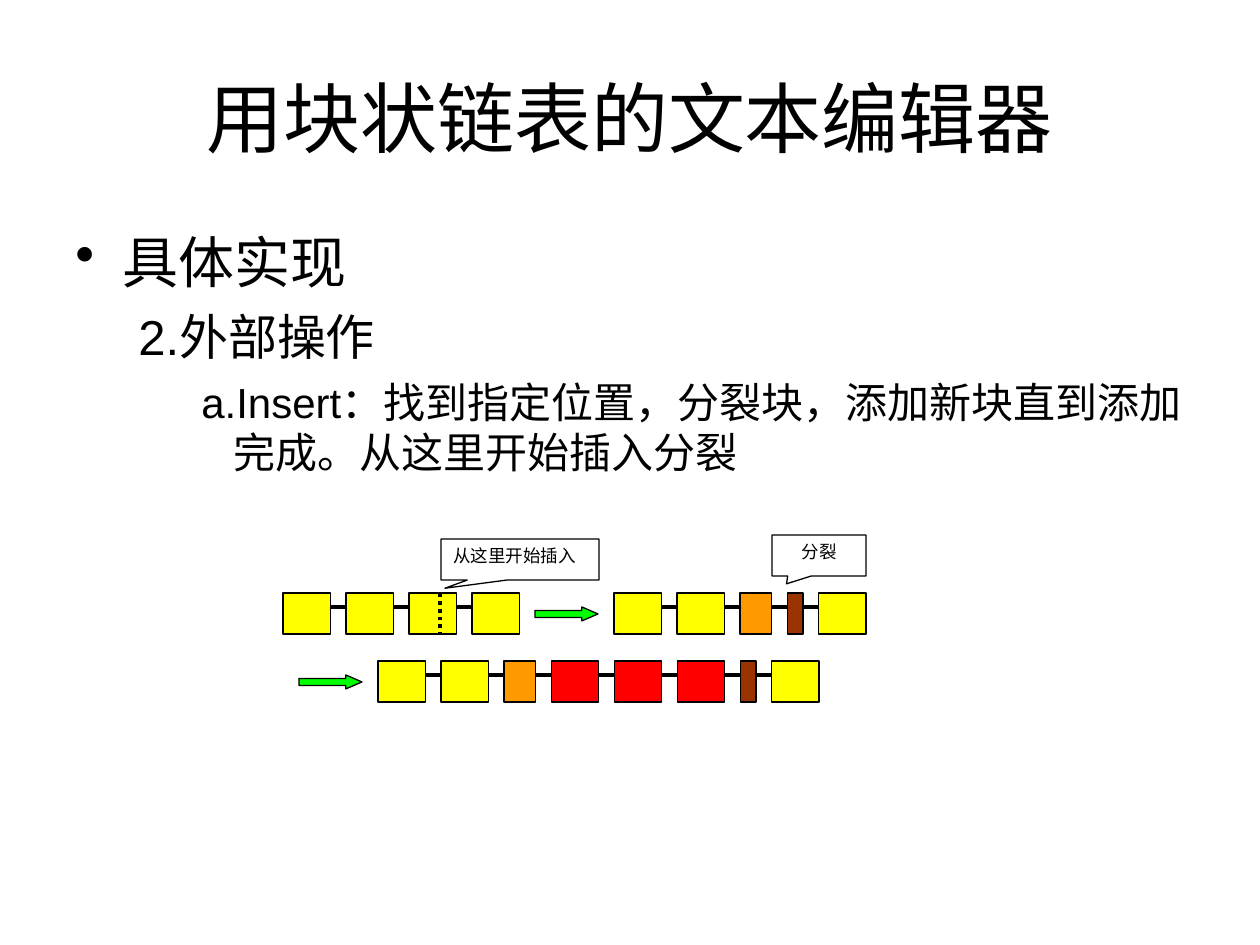
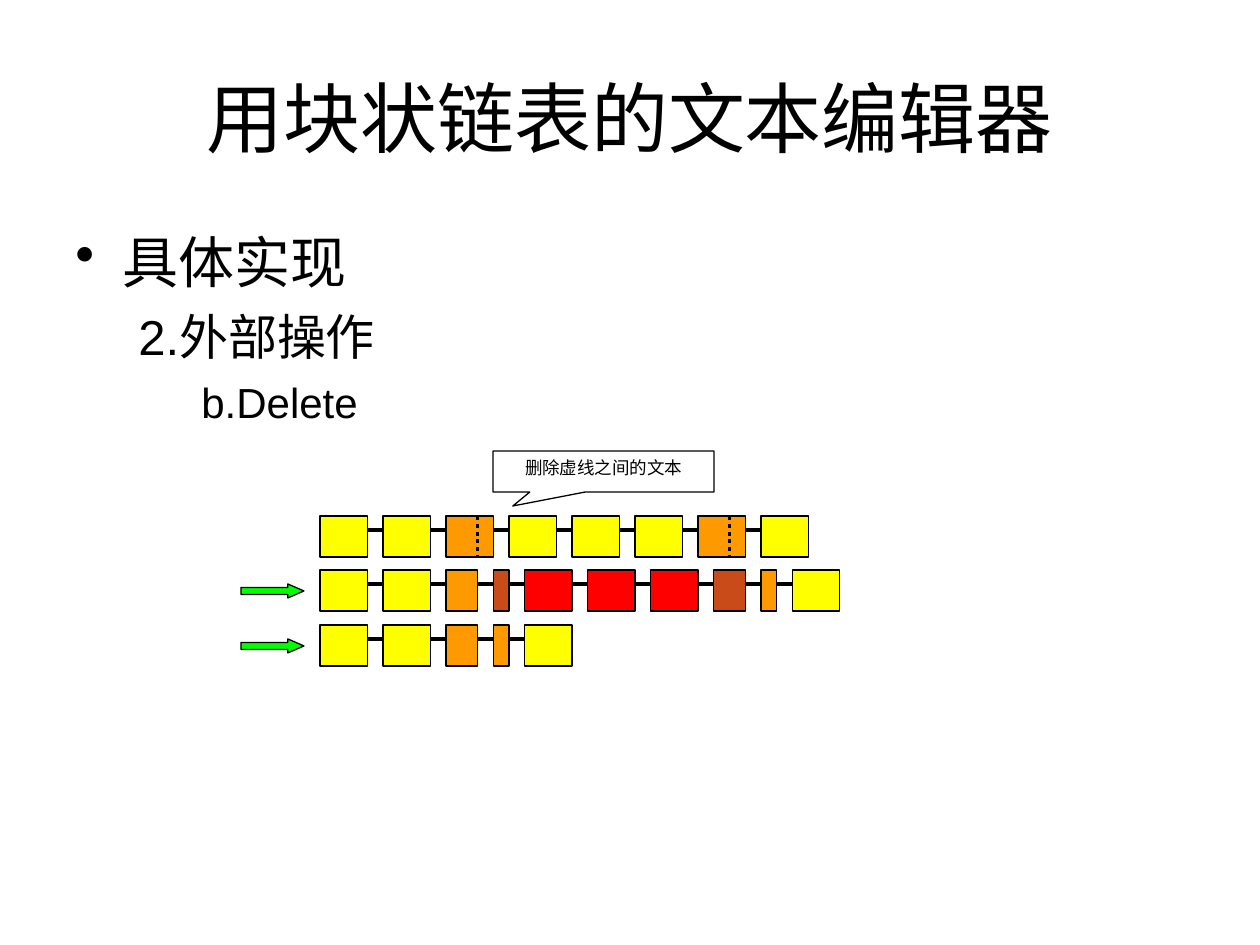
from lxml import etree
from pptx import Presentation
from pptx import util as u
from pptx.dml.color import RGBColor
from pptx.enum import dml, shapes, text
from pptx.oxml.ns import qn

BLACK = RGBColor(0x00, 0x00, 0x00)
WHITE = RGBColor(0xFF, 0xFF, 0xFF)
YELLOW = RGBColor(0xFF, 0xFF, 0x00)
ORANGE = RGBColor(0xFF, 0x99, 0x00)
RED = RGBColor(0xFF, 0x00, 0x00)
BROWN = RGBColor(0x99, 0x33, 0x00)
RUST = RGBColor(0xC9, 0x4B, 0x19)
GREEN = RGBColor(0x00, 0xFF, 0x00)

PX_PER_INCH = 126
UNIT = PX_PER_INCH / 8  # gap between blocks; blocks are 1, 2 or 3 units wide
BLOCK_HEIGHT = 41
LINK_DROP = 14
CUT_UNITS = 2
ARROW_SIZE = (63, 14)

TITLE = "用块状链表的文本编辑器"
TITLE_BOX = (63, 38, 1134, 157)
BODY_BOX = (63, 221, 1134, 624)
# size, left margin px, hanging px, space before pt, bullet
LEVELS = [
    dict(size=32, margin=47, hanging=47, before=0, bullet="•"),
    dict(size=28, margin=102, hanging=39, before=7),
    dict(size=24, margin=158, hanging=32, before=6),
]

# Block kinds: fill, width in units
FULL, NEW = (YELLOW, 3), (RED, 3)
HEAD, TAIL = (ORANGE, 2), (BROWN, 1)
MARKED, REST = (ORANGE, 3), (ORANGE, 1)
DROP_TAIL, DROP_HEAD = (RUST, 1), (RUST, 2)

CENTER, JUSTIFY = text.PP_ALIGN.CENTER, text.PP_ALIGN.JUSTIFY

SLIDES = [
    dict(
        lines=["具体实现", "2.外部操作",
               "a.Insert：找到指定位置，分裂块，添加新块直到添加完成。从这里开始插入分裂"],
        # left, top, blocks, indexes of the blocks with a dotted cut
        chains=[
            (283, 593, [FULL] * 4, [2]),
            (614, 593, [FULL, FULL, HEAD, TAIL, FULL], []),
            (378, 661, [FULL, FULL, HEAD, NEW, NEW, NEW, TAIL, FULL], []),
        ],
        arrows=[(535, 607), (299, 675)],
        callouts=[
            ("从这里开始插入", (441, 539, 158, 41), (-0.475, 0.7), JUSTIFY),
            ("分裂", (772, 535, 94, 41), (-0.345, 0.69), CENTER),
        ],
    ),
    dict(
        lines=["具体实现", "2.外部操作", "b.Delete"],
        chains=[
            (320, 516, [FULL, FULL, MARKED, FULL, FULL, FULL, MARKED, FULL], [2, 6]),
            (320, 570, [FULL, FULL, HEAD, DROP_TAIL, NEW, NEW, NEW,
                        DROP_HEAD, REST, FULL], []),
            (320, 625, [FULL, FULL, HEAD, REST, FULL], []),
        ],
        arrows=[(241, 584), (241, 639)],
        callouts=[
            ("删除虚线之间的文本", (493, 451, 221, 41), (-0.41, 0.84), CENTER),
        ],
    ),
]


def px(length):
    return u.Emu(round(length * 914400 / PX_PER_INCH))


def write(para, words, size, font="Arial", align=None, margin=0, hanging=0,
          before=0, bullet=None):
    props = para._p.get_or_add_pPr()
    props.set("marL", str(px(margin)))
    props.set("indent", str(px(-hanging)))
    if bullet:
        etree.SubElement(props, qn("a:buChar")).set("char", bullet)
    para.space_before = u.Pt(before)
    para.alignment = align
    span = para.add_run()
    span.text = words
    span.font.name = font
    span.font.size = u.Pt(size)
    span.font.color.rgb = BLACK


def add_text_box(page, place, anchor):
    frame = page.shapes.add_textbox(*map(px, place)).text_frame
    frame.word_wrap = True
    frame.vertical_anchor = anchor
    return frame


def add_outlined(page, kind, place, fill):
    box = page.shapes.add_shape(kind, *map(px, place))
    box.shadow.inherit = False
    box.fill.solid()
    box.fill.fore_color.rgb = fill
    box.line.color.rgb = BLACK
    box.line.width = u.Pt(0.75)
    return box


def add_line(page, start, end, dash=None):
    line = page.shapes.add_connector(
        shapes.MSO_CONNECTOR.STRAIGHT, *map(px, (*start, *end)))
    line.line.color.rgb = BLACK
    line.line.width = u.Pt(2.25)
    if dash:
        line.line.dash_style = dash
    etree.SubElement(line._element.spPr, qn("a:effectLst"))


def add_chain(page, left, top, blocks, cuts):
    """Lay linked blocks from left to right, one unit apart."""
    for index, (fill, units) in enumerate(blocks):
        width = units * UNIT
        add_outlined(page, shapes.MSO_SHAPE.RECTANGLE,
                     (left, top, width, BLOCK_HEIGHT), fill)
        if index:
            add_line(page, (left - UNIT, top + LINK_DROP), (left, top + LINK_DROP))
        if index in cuts:
            cut = left + CUT_UNITS * UNIT
            add_line(page, (cut, top), (cut, top + BLOCK_HEIGHT),
                     dml.MSO_LINE.ROUND_DOT)
        left += width + UNIT


def add_arrow(page, left, top):
    arrow = add_outlined(page, shapes.MSO_SHAPE.RIGHT_ARROW,
                         (left, top, *ARROW_SIZE), GREEN)
    arrow.adjustments[1] = 1.15


def add_callout(page, words, place, tip, align):
    box = add_outlined(page, shapes.MSO_SHAPE.RECTANGULAR_CALLOUT, place, WHITE)
    box.adjustments[0], box.adjustments[1] = tip
    frame = box.text_frame
    frame.word_wrap = True
    frame.vertical_anchor = text.MSO_ANCHOR.TOP
    write(frame.paragraphs[0], words, 10, font="Times New Roman", align=align)


def add_page(deck, lines, chains, arrows, callouts):
    page = deck.slides.add_slide(deck.slide_layouts[6])
    title = add_text_box(page, TITLE_BOX, text.MSO_ANCHOR.MIDDLE)
    write(title.paragraphs[0], TITLE, 44, align=CENTER)
    body = add_text_box(page, BODY_BOX, text.MSO_ANCHOR.TOP)
    for index, (words, level) in enumerate(zip(lines, LEVELS)):
        para = body.add_paragraph() if index else body.paragraphs[0]
        write(para, words, **level)
    for chain in chains:
        add_chain(page, *chain)
    for arrow in arrows:
        add_arrow(page, *arrow)
    for callout in callouts:
        add_callout(page, *callout)


def main():
    deck = Presentation()
    deck.slide_width, deck.slide_height = u.Inches(10), u.Inches(7.5)
    for content in SLIDES:
        add_page(deck, **content)
    deck.save("out.pptx")


if __name__ == "__main__":
    main()
